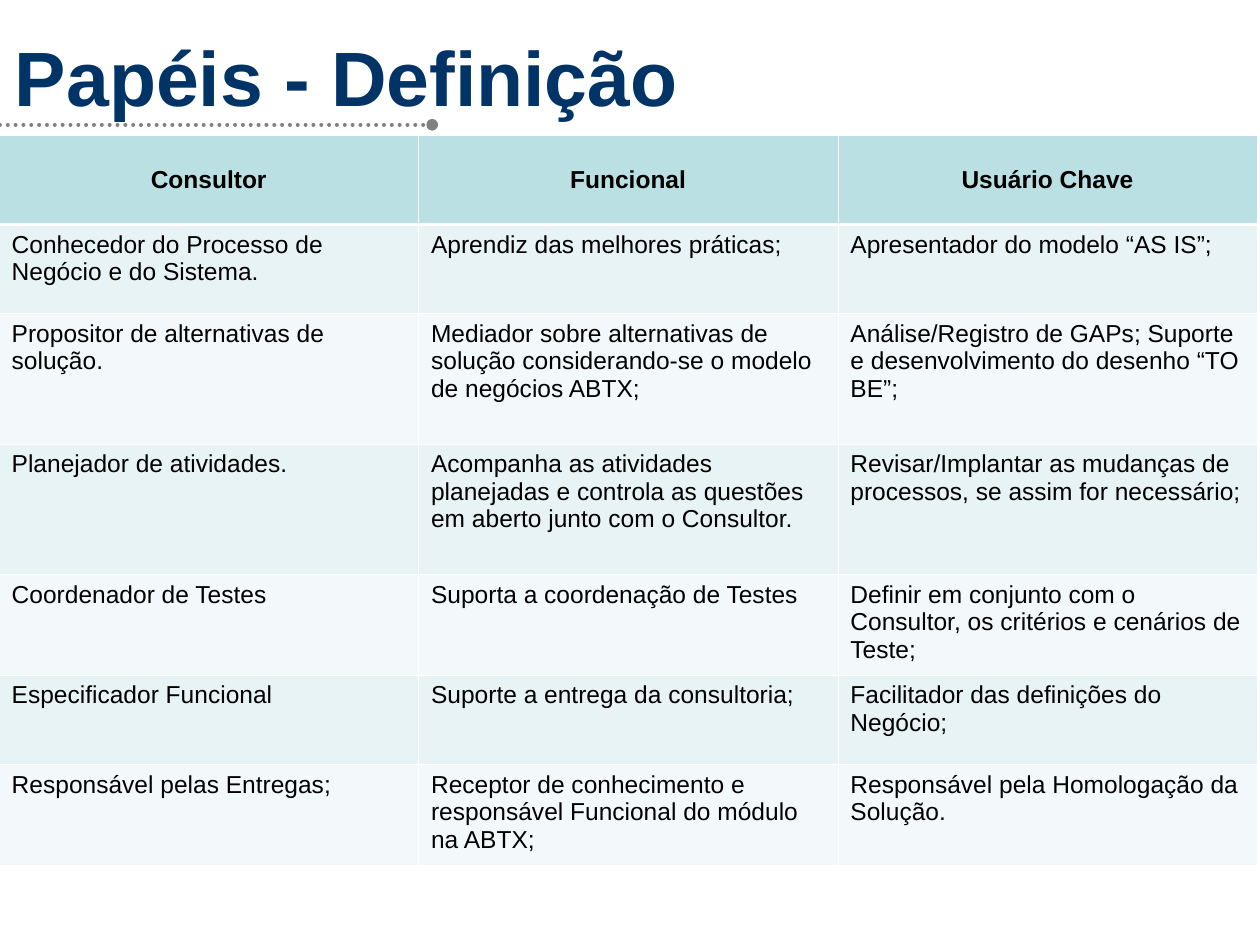
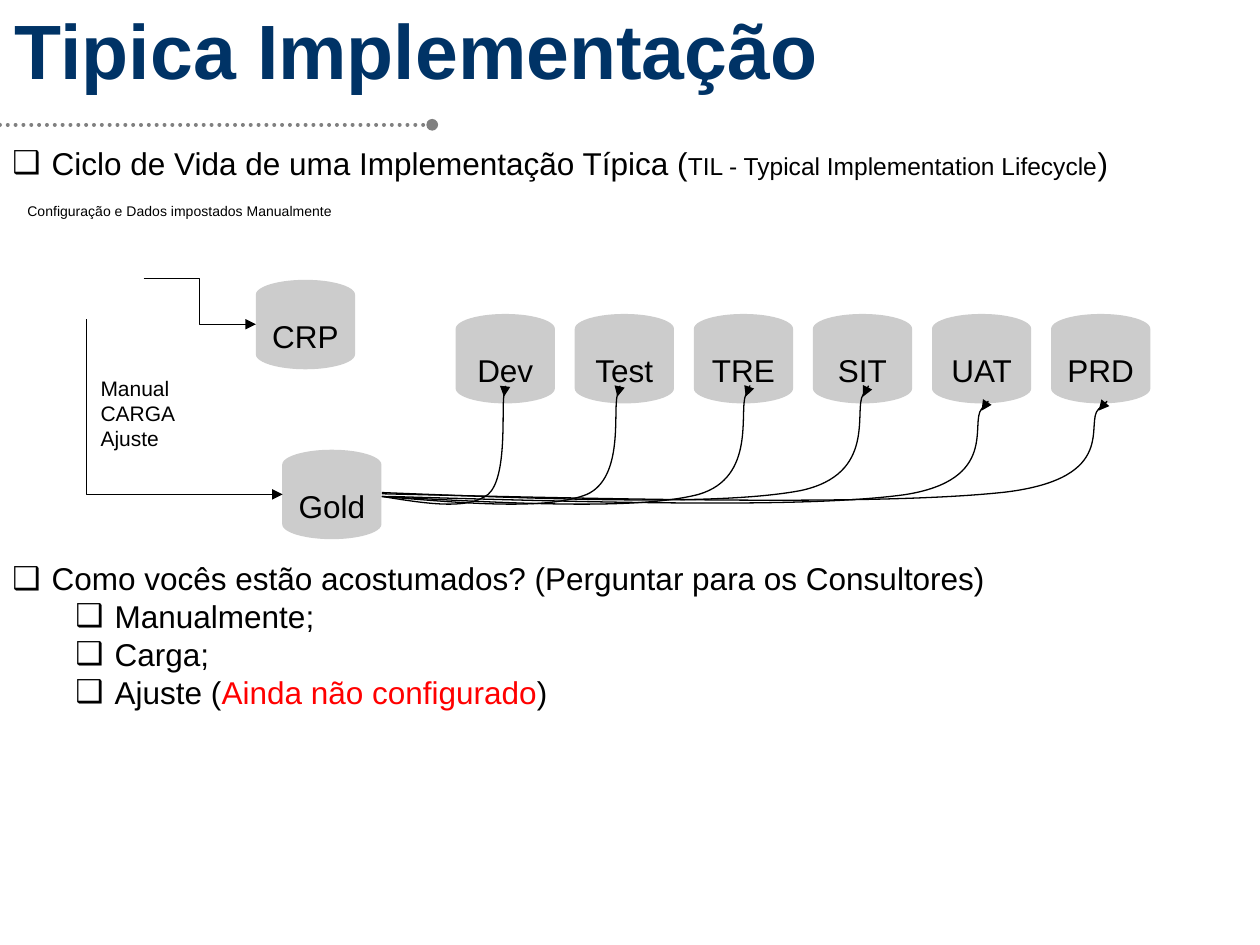
import pptx
import pptx.util
import pptx.dml.color
import pptx.enum.dml
import pptx.enum.shapes
import pptx.enum.text
import pptx.oxml
import pptx.oxml.ns

Pt = pptx.util.Pt
qn = pptx.oxml.ns.qn
MIDDLE = pptx.enum.text.MSO_ANCHOR.MIDDLE
TOP = pptx.enum.text.MSO_ANCHOR.TOP
CENTER = pptx.enum.text.PP_ALIGN.CENTER
CONNECTOR = pptx.enum.shapes.MSO_CONNECTOR
NAMESPACE = 'xmlns:a="http://schemas.openxmlformats.org/drawingml/2006/main"'

FONT = "Arial"
NAVY, BLACK, WHITE, RED = "003366", "000000", "FFFFFF", "FF0000"
RULE_GRAY, DISK_GRAY = "808080", "CCCCCC"
HEADER_FILL, BAND_FILLS = "BBE0E3", ("E7F3F4", "F3F9FA")

ROLES = (
    ("Consultor", "Funcional", "Usuário Chave"),
    ("Conhecedor do Processo de Negócio e do Sistema.",
     "Aprendiz das melhores práticas;",
     "Apresentador do modelo “AS IS”;"),
    ("Propositor de alternativas de solução.",
     "Mediador sobre alternativas de solução considerando-se o modelo de negócios ABTX;",
     "Análise/Registro de GAPs; Suporte e desenvolvimento do desenho “TO BE”;"),
    ("Planejador de atividades.",
     "Acompanha as atividades planejadas e controla as questões em aberto junto com o Consultor.",
     "Revisar/Implantar as mudanças de processos, se assim for necessário;"),
    ("Coordenador de Testes",
     "Suporta a coordenação de Testes",
     "Definir em conjunto com o Consultor, os critérios e cenários de Teste;"),
    ("Especificador Funcional",
     "Suporte a entrega da consultoria;",
     "Facilitador das definições do Negócio;"),
    ("Responsável pelas Entregas;",
     "Receptor de conhecimento e responsável Funcional do módulo na ABTX;",
     "Responsável pela Homologação da Solução."),
)
ROW_HEIGHTS = (51, 51, 74.5, 74.5, 57.5, 51, 57.5)

DISK_SIZE = (56.7, 51.1)
TARGETS = ("Dev", "Test", "TRE", "SIT", "UAT", "PRD")
TARGET_PITCH = 68.05
CURVE_STARTS = ((0, 49), (0, 49), (0, 49), (0, 46.8), (3.6, 49), (0, 47.5))
CURVE_ENDS = ((288, -8), (352.8, -8), (426.2, -8), (493.2, -8), (560.9, 0), (627.8, 0))
CURVE_SHAPE = ((0.35, -0.07), (0.7, -0.14), (0.87, 0.02), (1.03, 0.19), (0.98, 0.86),
               (1, 1.02), (1.02, 1.18), (1, 1), (1, 1))


def color(hex_text):
    """Turn a hex string into a colour value."""
    return pptx.dml.color.RGBColor.from_string(hex_text)


def element(markup):
    """Parse one drawing element written without its namespace."""
    head, rest = markup.split(" ", 1)
    return pptx.oxml.parse_xml(f"{head} {NAMESPACE} {rest}")


def add_span(para, text, size, hex_text=BLACK, bold=False):
    """Append one formatted run to a paragraph."""
    span = para.add_run()
    span.text = text
    span.font.name = FONT
    span.font.size = Pt(size)
    span.font.bold = bold
    span.font.color.rgb = color(hex_text)


def add_box(page, box, paragraphs, anchor=TOP, indents=None):
    """Place a wrapped text box of paragraphs, bulleted where indents are given."""
    frame = page.shapes.add_textbox(*map(Pt, box)).text_frame
    frame.word_wrap = True
    frame.vertical_anchor = anchor
    for index, spans in enumerate(paragraphs):
        para = frame.paragraphs[0] if index == 0 else frame.add_paragraph()
        if indents:
            properties = para._p.get_or_add_pPr()
            properties.set("marL", str(Pt(indents[index])))
            properties.set("indent", str(Pt(-22.5)))
            properties.append(element(f'<a:buClr ><a:srgbClr val="{BLACK}"/></a:buClr>'))
            properties.append(element(f'<a:buFont typeface="{FONT}"/>'))
            properties.append(element('<a:buChar char="❑"/>'))
        for span in spans:
            add_span(para, *span)


def style_line(shape, hex_text, width, head=None, tail=None):
    """Set a line's colour, width and ends, and drop its shadow."""
    shape.line.color.rgb = color(hex_text)
    shape.line.width = Pt(width)
    for tag, kind in (("headEnd", head), ("tailEnd", tail)):
        if kind:
            shape.line._get_or_add_ln().append(element(f'<a:{tag} type="{kind}"/>'))
    if not shape._element.spPr.findall(qn("a:effectLst")):
        shape._element.spPr.append(element("<a:effectLst />"))


def add_heading(page, title, anchor):
    """Draw the slide title and the dotted rule below it."""
    add_box(page, (1.5, -2, 648, 90), [[(title, 44, NAVY, True)]], anchor)
    rule = page.shapes.add_connector(CONNECTOR.STRAIGHT, Pt(-3), Pt(71.3), Pt(247), Pt(71.3))
    rule.line.dash_style = pptx.enum.dml.MSO_LINE.ROUND_DOT
    style_line(rule, RULE_GRAY, 2.25, "oval", "oval")
    rule.line._get_or_add_ln().set("cap", "rnd")


def style_cell(cell, text, row):
    """Fill one table cell with its text, band colour and white borders."""
    header = row == 0
    cell.fill.solid()
    cell.fill.fore_color.rgb = color(HEADER_FILL if header else BAND_FILLS[(row - 1) % 2])
    para = cell.text_frame.paragraphs[0]
    if header:
        cell.vertical_anchor = MIDDLE
        para.alignment = CENTER
    add_span(para, text, 14, bold=header)
    widths = {"lnL": 0.45, "lnR": 0.45, "lnT": 1.47 if row == 1 else 0.45,
              "lnB": 1.47 if header else 0.45}
    properties = cell._tc.get_or_add_tcPr()
    for index, (tag, width) in enumerate(widths.items()):
        properties.insert(index, element(
            f'<a:{tag} w="{Pt(width)}"><a:solidFill><a:srgbClr val="{WHITE}"/></a:solidFill></a:{tag}>'))


def add_roles_table(page, box):
    """Draw the table of roles in its box."""
    table = page.shapes.add_table(len(ROLES), len(ROLES[0]), *map(Pt, box)).table
    for column in table.columns:
        column.width = Pt(box[2] / len(ROLES[0]))
    for row, (height, texts) in enumerate(zip(ROW_HEIGHTS, ROLES)):
        table.rows[row].height = Pt(height)
        for column, text in enumerate(texts):
            style_cell(table.cell(row, column), text, row)


def add_disk(page, left, top, label):
    """Draw one labelled database disk."""
    disk = page.shapes.add_shape(pptx.enum.shapes.MSO_SHAPE.FLOWCHART_MAGNETIC_DISK,
                                 Pt(left), Pt(top), *map(Pt, DISK_SIZE))
    disk.shadow.inherit = False
    disk.fill.solid()
    disk.fill.fore_color.rgb = color(DISK_GRAY)
    disk.line.fill.background()
    disk.text_frame.word_wrap = False
    disk.text_frame.vertical_anchor = MIDDLE
    para = disk.text_frame.paragraphs[0]
    para.alignment = CENTER
    para.line_spacing = 1.2
    add_span(para, label, 18)


def add_curve(page, start, end):
    """Draw a curved arrow by scaling the common curve between two points."""
    points = [(Pt(start[0] + (end[0] - start[0]) * x), Pt(start[1] + (end[1] - start[1]) * y))
              for x, y in CURVE_SHAPE]
    builder = page.shapes.build_freeform(Pt(start[0]), Pt(start[1]))
    builder.add_line_segments(points, close=False)
    curve = builder.convert_to_shape()
    curve.shadow.inherit = False
    curve.fill.background()
    outline = next(curve._element.iter(qn("a:path")))
    segments = outline.findall(qn("a:lnTo"))
    for first in range(0, len(segments), 3):
        bezier = element("<a:cubicBezTo />")
        for segment in segments[first:first + 3]:
            bezier.append(segment[0])
            outline.remove(segment)
        outline.append(bezier)
    style_line(curve, BLACK, 0.75, tail="triangle")


def add_elbow(page, begin, end):
    """Draw a bent arrow between two points."""
    elbow = page.shapes.add_connector(CONNECTOR.ELBOW, *map(Pt, begin + end))
    style_line(elbow, BLACK, 0.75, tail="triangle")
    return elbow


def add_lifecycle(page, left, top):
    """Draw the environments and the paths that feed them."""
    add_disk(page, left + 146.2, top + 47.6, "CRP")
    add_elbow(page, (left + 82.1, top + 46.8), (left + 146.2, top + 73))
    add_box(page, (left + 8.6, top, 198.7, 17.3),
            [[("Configuração e Dados impostados Manualmente", 8)]])
    add_disk(page, left + 161.3, top + 144.7, "Gold")
    for index, label in enumerate(TARGETS):
        add_disk(page, left + 260.4 + index * TARGET_PITCH, top + 67.1, label)
    origin = (left + 218.2, top + 122.4)
    for start, end in zip(CURVE_STARTS, CURVE_ENDS):
        add_curve(page, (origin[0] + start[0], origin[1] + start[1]),
                  (left + end[0], origin[1] + end[1]))
    add_box(page, (left + 50.4, top + 98.6, 79.2, 50.4),
            [[(text, 12)] for text in ("Manual", "CARGA", "Ajuste")])
    feed = add_elbow(page, (left + 155.5, top + 64.1), (left + 55.4, top + 176.2))
    feed._element.spPr.find(qn("a:prstGeom")).set("prst", "bentConnector2")
    feed._element.spPr.find(qn("a:xfrm")).set("rot", "16200000")


def build_roles(page):
    """Build the slide that defines the roles."""
    add_heading(page, "Papéis - Definição", MIDDLE)
    add_roles_table(page, (-0.5, 77.3, 719, sum(ROW_HEIGHTS)))


def build_implementation(page):
    """Build the slide on a typical implementation."""
    add_heading(page, "Tipica Implementação", TOP)
    add_box(page, (0, 78.5, 705.6, 29),
            [[("Ciclo de Vida de uma Implementação Típica (", 18),
              ("TIL - Typical Implementation Lifecycle", 14), (")", 18)]], indents=[22.5])
    add_lifecycle(page, 0, 112.3)
    add_box(page, (0, 316.1, 720, 94),
            [[("Como vocês estão acostumados? (Perguntar para os Consultores)", 18)],
             [("Manualmente;", 18)], [("Carga;", 18)],
             [("Ajuste (", 18), ("Ainda não configurado", 18, RED), (")", 18)]],
            indents=[22.5, 58.5, 58.5, 58.5])


def main():
    """Build and save the deck."""
    deck = pptx.Presentation()
    deck.slide_width, deck.slide_height = Pt(720), Pt(540)
    for build in (build_roles, build_implementation):
        build(deck.slides.add_slide(deck.slide_layouts[6]))
    deck.save("out.pptx")


if __name__ == "__main__":
    main()
